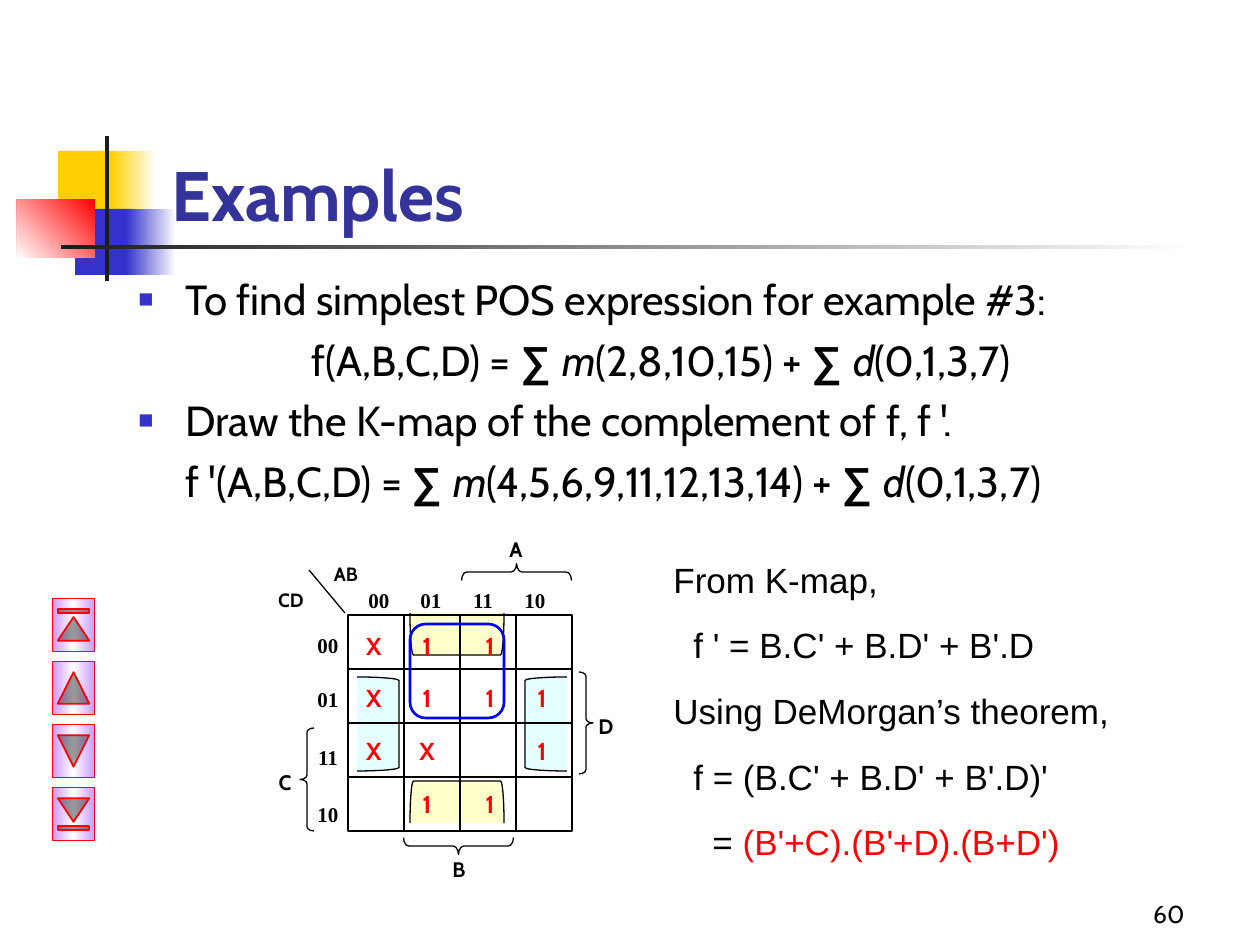
"""Build the Karnaugh map example slide."""
from dataclasses import dataclass, field
from typing import Any, Optional

from lxml import etree
from pptx import Presentation
from pptx import util as u
from pptx.dml.color import RGBColor
from pptx.enum import shapes, text
from pptx.oxml import ns

SCALE = 914400 / 126
BLACK = RGBColor(0, 0, 0)
WHITE = RGBColor(0xFF, 0xFF, 0xFF)
RED = RGBColor(0xFF, 0, 0)
BLUE = RGBColor(0, 0, 0xFF)
NAVY = RGBColor(0x33, 0x33, 0x99)
INDIGO = RGBColor(0x33, 0x33, 0xCC)
GOLD = RGBColor(0xFF, 0xCF, 0x01)
CHARCOAL = RGBColor(0x1C, 0x1C, 0x1C)
LILAC = RGBColor(0xCC, 0x99, 0xFF)
AQUA = RGBColor(0xCC, 0xFF, 0xFF)
CREAM = RGBColor(0xFF, 0xFF, 0x99)
KIND = shapes.MSO_SHAPE
ALIGN = text.PP_ALIGN
ANCHOR = text.MSO_ANCHOR


@dataclass
class Shape:
    kind: Any
    box: tuple[int, int, int, int]
    fill: Optional[RGBColor] = None
    line: Optional[RGBColor] = None
    width: float = 0.75
    rot: int = 0
    adj: Optional[float] = None
    alpha: int = 100
    grad: tuple[RGBColor, ...] = ()
    angle: int = 180


@dataclass
class Para:
    runs: list[tuple[str, dict]]
    indent: int = 0
    bullet: bool = False


@dataclass
class Label:
    words: str
    x: int
    y: int
    fmt: dict = field(default_factory=dict)


def px(n: float) -> int:
    return round(n * SCALE)


def add(parent: Any, tag: str, **attrs: Any) -> Any:
    return etree.SubElement(parent, ns.qn(tag), {k: str(v) for k, v in attrs.items()})


def draw_shape(s: Any, d: Shape) -> Any:
    sp = s.shapes.add_shape(d.kind, *map(px, d.box))
    sp.shadow.inherit = False
    sp.rotation = d.rot
    if d.adj is not None:
        sp.adjustments[0] = d.adj
    if d.grad:
        sp.fill.gradient()
        gf = sp._element.spPr.find(ns.qn("a:gradFill"))
        for child in list(gf):
            gf.remove(child)
        stops = add(gf, "a:gsLst")
        for i, color in enumerate(d.grad):
            stop = add(stops, "a:gs", pos=100000 * i // (len(d.grad) - 1))
            add(stop, "a:srgbClr", val=color)
        add(gf, "a:lin", ang=d.angle * 60000, scaled=0)
    elif d.fill is None:
        sp.fill.background()
    else:
        sp.fill.solid()
        sp.fill.fore_color.rgb = d.fill
        if d.alpha < 100:
            add(next(sp._element.spPr.iter(ns.qn("a:srgbClr"))), "a:alpha", val=d.alpha * 1000)
    if d.line is None:
        sp.line.fill.background()
    else:
        sp.line.color.rgb = d.line
        sp.line.width = u.Pt(d.width)
    return sp


def draw_line(s: Any, x1: int, y1: int, x2: int, y2: int) -> Any:
    c = s.shapes.add_connector(shapes.MSO_CONNECTOR.STRAIGHT, *map(px, (x1, y1, x2, y2)))
    c.line.color.rgb = BLACK
    c.line.width = u.Pt(0.75)
    add(c._element.spPr, "a:effectLst")
    return c


def draw_text(s: Any, box: tuple[int, int, int, int], paras: list[Para], fmt: dict,
              anchor: Any = ANCHOR.TOP, align: Any = ALIGN.LEFT, before: float = 0,
              inset: bool = True) -> None:
    tf = s.shapes.add_textbox(*map(px, box)).text_frame
    layout = dict(word_wrap=True, vertical_anchor=anchor)
    if not inset:
        layout |= dict(margin_left=0, margin_right=0, margin_top=0, margin_bottom=0)
    for key, value in layout.items():
        setattr(tf, key, value)
    for i, para in enumerate(paras):
        p = tf.add_paragraph() if i else tf.paragraphs[0]
        p.alignment = align
        pPr = p._p.get_or_add_pPr()
        pPr.set("marL", str(px(para.indent)))
        if para.bullet:
            pPr.set("indent", str(-px(para.indent)))
            add(add(pPr, "a:buClr"), "a:srgbClr", val=INDIGO)
            add(pPr, "a:buSzPct", val=60000)
            add(pPr, "a:buFont", typeface="Arial")
            add(pPr, "a:buChar", char="■")
        if i and before:
            p.space_before = u.Pt(before)
        for words, extra in para.runs:
            r = p.add_run()
            r.text = words
            style = {"name": "Cabin", "color": BLACK} | fmt | extra
            r.font.color.rgb = style.pop("color")
            style["size"] = u.Pt(style["size"])
            for key, value in style.items():
                setattr(r.font, key, value)


def draw_label(s: Any, d: Label) -> None:
    draw_text(s, (d.x - 25, d.y - 20, 50, 40), [Para([(d.words, {})])],
              {"size": 12, "bold": True} | d.fmt, ANCHOR.MIDDLE, ALIGN.CENTER, inset=False)


def sum_runs(head: str, minterms: str, dont_cares: str) -> list[tuple[str, dict]]:
    sigma = ("∑ ", {"name": "Arial", "bold": True})
    italic = {"italic": True}
    return [(head, {}), sigma, ("m", italic), (f"({minterms}) + ", {}),
            sigma, ("d", italic), (f"({dont_cares})", {})]


def draw_theme(s: Any) -> None:
    for d in (
        Shape(KIND.RECTANGLE, (58, 151, 60, 66), GOLD),
        Shape(KIND.RECTANGLE, (111, 151, 45, 66), grad=(WHITE, GOLD)),
        Shape(KIND.RECTANGLE, (75, 209, 58, 66), INDIGO),
        Shape(KIND.RECTANGLE, (126, 209, 50, 66), grad=(WHITE, INDIGO)),
        Shape(KIND.RECTANGLE, (17, 199, 78, 59), grad=(RED, WHITE), angle=135),
        Shape(KIND.RECTANGLE, (105, 136, 4, 145), CHARCOAL),
        Shape(KIND.RECTANGLE, (61, 245, 1134, 4), grad=(WHITE, CHARCOAL)),
    ):
        draw_shape(s, d)
    buttons = (KIND.ACTION_BUTTON_BEGINNING, KIND.ACTION_BUTTON_BACK_OR_PREVIOUS,
               KIND.ACTION_BUTTON_FORWARD_OR_NEXT, KIND.ACTION_BUTTON_END)
    for i, kind in enumerate(buttons):
        draw_shape(s, Shape(kind, (47, 604 + 63 * i, 53, 42), line=RED, width=1, rot=90,
                            grad=(LILAC, WHITE, LILAC), angle=90))


def draw_map(s: Any) -> None:
    left, top, col, row = 348, 615, 56, 54
    right, bottom = left + 4 * col, top + 4 * row
    for kind, box, color, rot in (
        (KIND.LEFT_BRACKET, (525, 677, 42, 94), AQUA, 0),
        (KIND.RIGHT_BRACKET, (357, 677, 42, 94), AQUA, 0),
        (KIND.LEFT_BRACKET, (436, 755, 42, 94), CREAM, 90),
        (KIND.LEFT_BRACKET, (436, 587, 42, 94), CREAM, 270),
    ):
        draw_shape(s, Shape(kind, box, color, BLACK, rot=rot, alpha=50))
    frame = draw_shape(s, Shape(KIND.RECTANGLE, (left, top, 4 * col, 4 * row), line=BLACK))
    for i in (1, 2, 3):
        x, y = left + i * col, top + i * row
        for c, sides in ((draw_line(s, x, top, x, bottom), (0, 2)),
                         (draw_line(s, left, y, right, y), (1, 3))):
            if i == 2:
                c.begin_connect(frame, sides[0])
                c.end_connect(frame, sides[1])
    draw_line(s, 345, 613, 309, 570)
    for kind, box, rot in (
        (KIND.LEFT_BRACE, (300, 728, 14, 103), 0),
        (KIND.LEFT_BRACE, (508, 517, 17, 110), 90),
        (KIND.LEFT_BRACE, (450, 791, 17, 110), 270),
        (KIND.RIGHT_BRACE, (579, 672, 14, 102), 0),
    ):
        draw_shape(s, Shape(kind, box, line=BLACK, rot=rot, adj=0.31))

    small, serif = {"size": 11}, {"name": "Times New Roman"}
    labels = [Label("A", 516, 549), Label("B", 459, 869), Label("C", 285, 782),
              Label("D", 606, 726), Label("AB", 346, 574, small), Label("CD", 291, 600, small)]
    for i, (code, y) in enumerate(zip(("00", "01", "11", "10"), (645, 699, 757, 814))):
        labels += [Label(code, 379 + 52 * i, 600, serif), Label(code, 328, y, serif)]
    for i, cells in enumerate(("X11 ", "X111", "XX 1", " 11 ")):
        labels += [Label(c, x, 646 + round(52.5 * i), {"size": 14, "color": RED})
                   for c, x in zip(cells, (374, 427, 490, 542)) if c != " "]
    for d in labels:
        draw_label(s, d)
    draw_shape(s, Shape(KIND.ROUNDED_RECTANGLE, (410, 624, 94, 94), line=BLUE, width=1.5, adj=0.167))


def main() -> None:
    prs = Presentation()
    prs.slide_width, prs.slide_height = px(1260), px(945)
    s = prs.slides.add_slide(prs.slide_layouts[6])
    draw_theme(s)
    draw_text(s, (159, 84, 1074, 158), [Para([("Examples", {})])],
              {"size": 40, "bold": True, "color": NAVY}, ANCHOR.BOTTOM)
    draw_text(s, (126, 267, 1103, 252), [
        Para([("To find simplest POS expression for example #3:", {})], 47, True),
        Para(sum_runs("f(A,B,C,D) = ", "2,8,10,15", "0,1,3,7"), 173),
        Para([("Draw the K-map of the complement of f, f '.", {})], 47, True),
        Para(sum_runs("f '(A,B,C,D) = ", "4,5,6,9,11,12,13,14", "0,1,3,7"), 47),
    ], {"size": 24}, before=6)
    draw_map(s)
    draw_text(s, (661, 552, 525, 310), [
        Para([("From K-map,", {})]),
        Para([("f ' = B.C' + B.D' + B'.D", {})], 20),
        Para([("Using DeMorgan’s theorem,", {})]),
        Para([("f = (B.C' + B.D' + B'.D)'", {})], 20),
        Para([("= ", {}), ("(B'+C).(B'+D).(B+D')", {"color": RED})], 39),
    ], {"size": 20, "name": "Arial"}, before=13.5)
    draw_text(s, (935, 872, 262, 63), [Para([("60", {})])], {"size": 14},
              ANCHOR.BOTTOM, ALIGN.RIGHT)
    prs.save("out.pptx")


if __name__ == "__main__":
    main()
